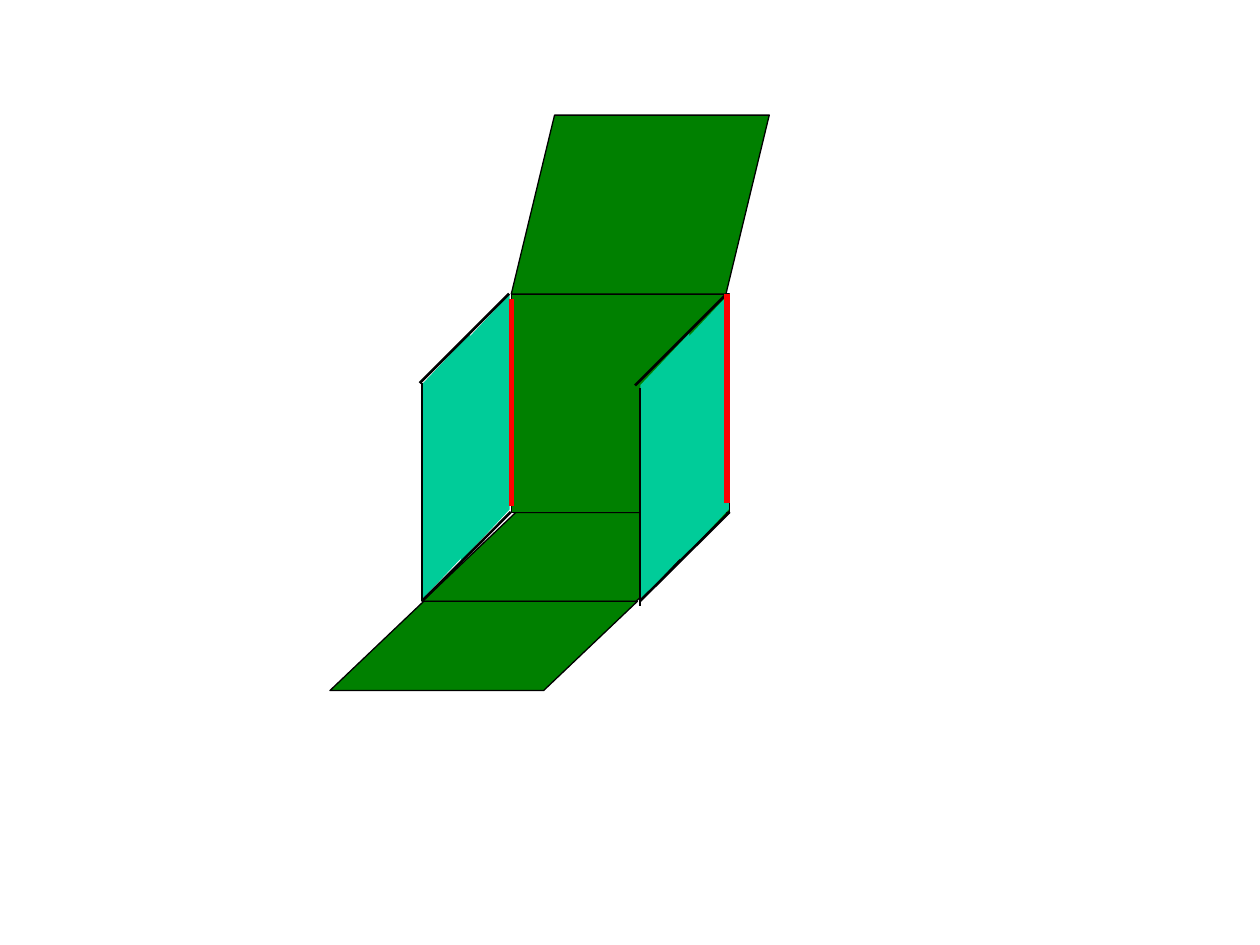
import pptx
import pptx.dml.color
import pptx.enum.shapes
import pptx.oxml.ns
import pptx.util
from lxml import etree

Pt = pptx.util.Pt
BLACK = pptx.dml.color.RGBColor(0x00, 0x00, 0x00)
GREEN = pptx.dml.color.RGBColor(0x00, 0x80, 0x00)
TEAL = pptx.dml.color.RGBColor(0x00, 0xCC, 0x99)
RED = pptx.dml.color.RGBColor(0xFF, 0x00, 0x00)
RECTANGLE = pptx.enum.shapes.MSO_SHAPE.RECTANGLE
PARALLELOGRAM = pptx.enum.shapes.MSO_SHAPE.PARALLELOGRAM
STRAIGHT = pptx.enum.shapes.MSO_CONNECTOR.STRAIGHT


def add_face(shapes, kind, bounds, color, slant=None):
    shape = shapes.add_shape(kind, *[Pt(value) for value in bounds])
    shape.shadow.inherit = False
    shape.fill.solid()
    shape.fill.fore_color.rgb = color
    if slant is not None:
        shape.adjustments[0] = slant
    return shape


def add_green_face(kind, bounds, slant=None):
    shape = add_face(slide.shapes, kind, bounds, GREEN, slant)
    shape.line.color.rgb = BLACK
    shape.line.width = Pt(0.75)


presentation = pptx.Presentation()
presentation.slide_width = Pt(720)
presentation.slide_height = Pt(540)
slide = presentation.slides.add_slide(presentation.slide_layouts[6])

add_green_face(PARALLELOGRAM, (241.2, 292.8, 175.7, 51), 1.051)
add_green_face(RECTANGLE, (292.2, 168, 124.8, 124.8), None)
add_green_face(PARALLELOGRAM, (292.2, 65.8, 147.4, 102.2), 0.242)

for panel_left in (326.2, 201):
    if panel_left == 201:
        add_green_face(PARALLELOGRAM, (188.6, 343.6, 175.7, 51), 1.051)
    group = slide.shapes.add_group_shape()
    for step in range(2):
        bounds = (panel_left - 22.6 * step, 230.4 + 22.4 * step, 152.6, 28)
        shape = add_face(group.shapes, PARALLELOGRAM, bounds, TEAL, 1.058)
        shape.line.fill.background()
        shape.rotation = 270
        shape._element.spPr.find(pptx.oxml.ns.qn("a:xfrm")).set("flipH", "1")

black_edge = {"color": BLACK, "width": 1.5}
red_fold = {"color": RED, "width": 3}
edges = [
    ((290.9, 167.8), (239.8, 218.9), black_edge),
    ((414, 169.2), (362.9, 220.3), black_edge),
    ((291.9, 292.6), (241.2, 343.4), black_edge),
    ((416.9, 292.6), (365.8, 343.4), black_edge),
    ((241.2, 218.9), (241.2, 343.4), black_edge),
    ((365.8, 221.8), (365.8, 346.3), black_edge),
    ((292.2, 289.4), (292.2, 170.6), red_fold),
    ((415.4, 287.3), (415.4, 167.8), red_fold),
]
for start, end, style in edges:
    connector = slide.shapes.add_connector(
        STRAIGHT, *[Pt(value) for value in start + end])
    connector.line.color.rgb = style["color"]
    connector.line.width = Pt(style["width"])
    etree.SubElement(connector._element.spPr, pptx.oxml.ns.qn("a:effectLst"))

presentation.save("out.pptx")
